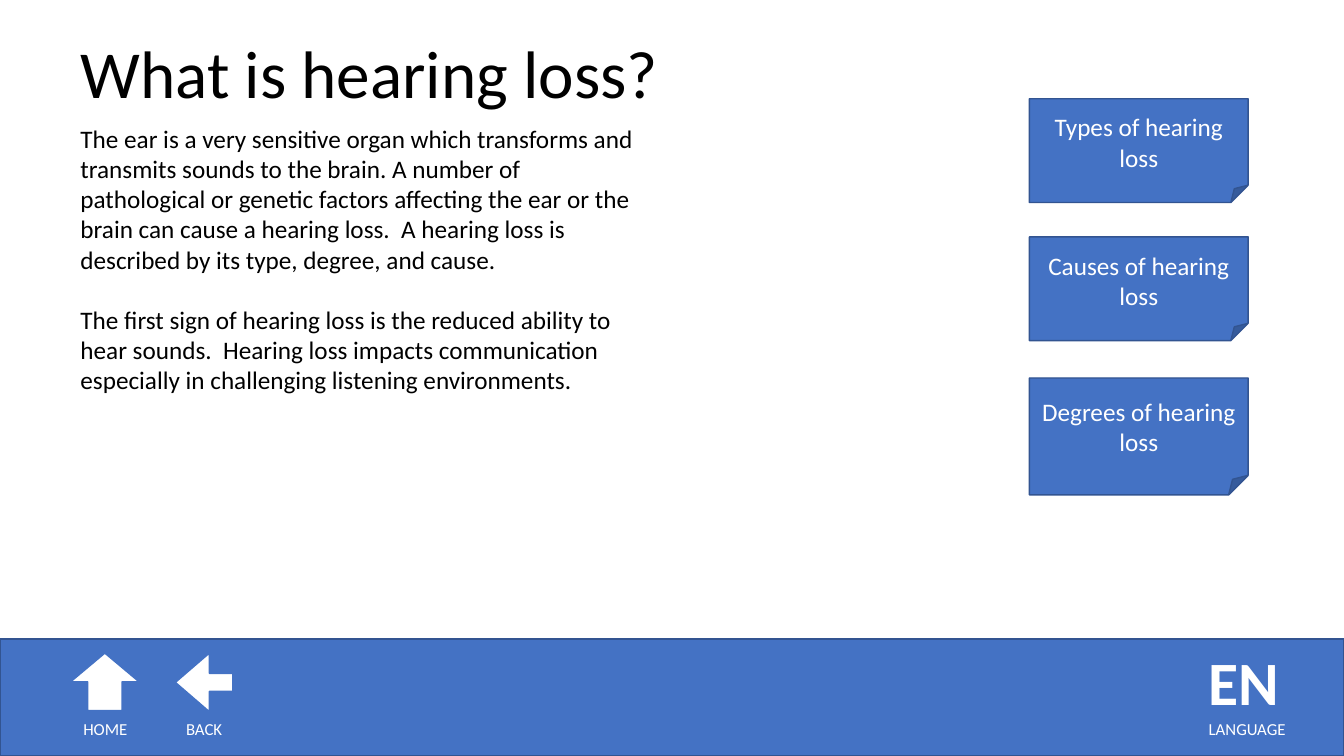
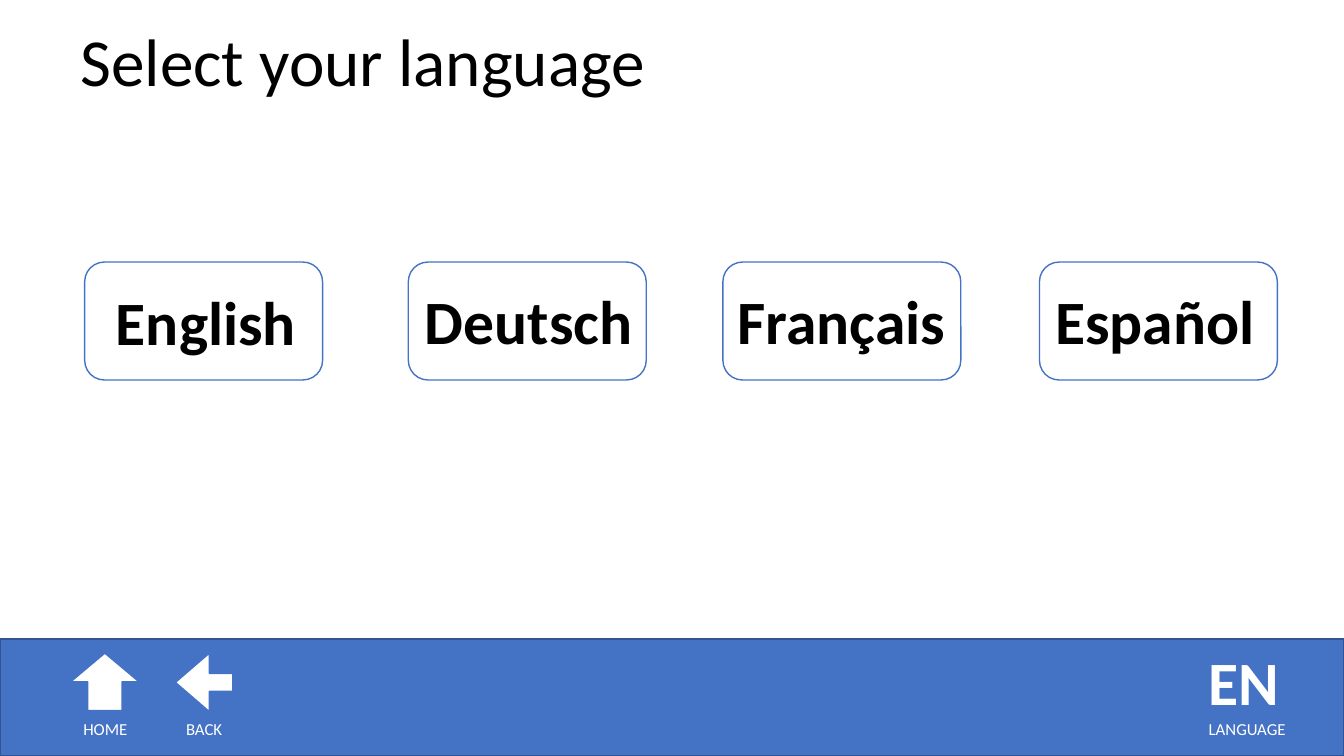
from dataclasses import dataclass
from typing import NamedTuple, Optional

from pptx import Presentation
from pptx.dml.color import RGBColor
from pptx.enum.shapes import MSO_SHAPE as Preset
from pptx.enum.text import MSO_ANCHOR as Anchor
from pptx.enum.text import MSO_AUTO_SIZE as AutoSize
from pptx.enum.text import PP_ALIGN as Align
from pptx.shapes.autoshape import Shape
from pptx.shapes.shapetree import GroupShapes
from pptx.slide import Slide
from pptx.text.text import TextFrame
from pptx.util import Inches, Pt


@dataclass(frozen=True)
class Theme:
    font: str = "Calibri"
    blue: RGBColor = RGBColor(0x44, 0x72, 0xC4)
    dark_blue: RGBColor = RGBColor(0x32, 0x54, 0x91)
    white: RGBColor = RGBColor(0xFF, 0xFF, 0xFF)
    black: RGBColor = RGBColor(0x00, 0x00, 0x00)
    title_size: int = 48
    label_size: int = 44
    body_size: int = 18
    caption_size: int = 12
    paragraph_gap: float = 21.6


THEME = Theme()


class Area(NamedTuple):
    left: float
    top: float
    width: float
    height: float


@dataclass(frozen=True)
class TextStyle:
    size: int
    color: RGBColor
    bold: bool = False
    align: Align = Align.LEFT
    wrap: bool = True


TITLE = TextStyle(THEME.title_size, THEME.black, wrap=False)
BODY = TextStyle(THEME.body_size, THEME.black)
CARD = TextStyle(THEME.body_size, THEME.white, align=Align.CENTER)
LANGUAGE = TextStyle(THEME.label_size, THEME.black, bold=True, align=Align.CENTER)
CODE = TextStyle(THEME.label_size, THEME.white, bold=True)
CAPTION = TextStyle(THEME.caption_size, THEME.white, align=Align.CENTER, wrap=False)


class TopicCard(NamedTuple):
    text: str
    top: float
    height: float


class LanguageButton(NamedTuple):
    name: str
    left: float
    label_left: float
    label_top: float = 2.76


class Caption(NamedTuple):
    text: str
    left: float
    width: float


INTRO = (
    "The ear is a very sensitive organ which transforms and transmits sounds "
    "to the brain. A number of pathological or genetic factors affecting the "
    "ear or the brain can cause a hearing loss.  A hearing loss is described "
    "by its type, degree, and cause.",
    "The first sign of hearing loss is the reduced ability to hear sounds. "
    " Hearing loss impacts communication especially in challenging listening "
    "environments.",
)
TOPICS = (
    TopicCard("Types of hearing loss", 0.98, 1.03),
    TopicCard("Causes of hearing loss", 2.35, 1.03),
    TopicCard("Degrees of hearing loss", 3.75, 1.16),
)
LANGUAGES = (
    LanguageButton("English", 0.84, 0.72, 2.77),
    LanguageButton("Deutsch", 4.05, 3.92),
    LanguageButton("Français", 7.17, 7.02),
    LanguageButton("Español", 10.31, 10.13),
)
CAPTIONS = (
    Caption("HOME", 0.72, 0.65),
    Caption("BACK", 1.74, 0.57),
    Caption("LANGUAGE", 11.88, 0.98),
)


# Drawing helpers
def write(frame: TextFrame, text: str, style: TextStyle) -> None:
    frame.text = text
    frame.word_wrap = style.wrap
    for index, para in enumerate(frame.paragraphs):
        para.alignment = style.align
        if index:
            para.space_before = Pt(THEME.paragraph_gap)
        for span in para.runs:
            span.font.name = THEME.font
            span.font.size = Pt(style.size)
            span.font.bold = style.bold
            span.font.color.rgb = style.color


def add_text(shapes: GroupShapes, area: Area, text: str, style: TextStyle) -> None:
    box = shapes.add_textbox(*map(Inches, area))
    write(box.text_frame, text, style)
    box.text_frame.auto_size = AutoSize.SHAPE_TO_FIT_TEXT


def add_panel(shapes: GroupShapes, preset: Preset, area: Area, fill: RGBColor,
              line: RGBColor, adjustments: Optional[tuple] = None) -> Shape:
    panel = shapes.add_shape(preset, *map(Inches, area))
    panel.shadow.inherit = False
    panel.fill.solid()
    panel.fill.fore_color.rgb = fill
    panel.line.color.rgb = line
    panel.line.width = Pt(1)
    for index, value in enumerate(adjustments or ()):
        panel.adjustments[index] = value
    return panel


def add_footer(page: Slide) -> None:
    shapes = page.shapes.add_group_shape().shapes
    add_panel(shapes, Preset.RECTANGLE, Area(0, 6.34, 13.33, 1.16),
              THEME.blue, THEME.dark_blue)
    add_panel(shapes, Preset.UP_ARROW, Area(0.7, 6.48, 0.68, 0.57),
              THEME.white, THEME.blue)
    add_panel(shapes, Preset.LEFT_ARROW, Area(1.74, 6.48, 0.57, 0.58),
              THEME.white, THEME.blue, (0.31, 0.59))
    for caption in CAPTIONS:
        add_text(shapes, Area(caption.left, 7.08, caption.width, 0.3),
                 caption.text, CAPTION)
    add_text(shapes, Area(11.89, 6.34, 0.98, 0.84), "EN", CODE)


def add_page(deck: Presentation, title: str, area: Area) -> Slide:
    page = deck.slides.add_slide(deck.slide_layouts[6])
    add_text(page.shapes, area, title, TITLE)
    add_footer(page)
    return page


# Slides
def build_hearing_loss(deck: Presentation) -> None:
    page = add_page(deck, "What is hearing loss?", Area(0.7, 0.26, 5.99, 0.91))
    add_text(page.shapes, Area(0.7, 1.17, 5.83, 2.83), "\n".join(INTRO), BODY)
    for topic in TOPICS:
        card = add_panel(page.shapes, Preset.FOLDED_CORNER,
                         Area(10.21, topic.top, 2.17, topic.height),
                         THEME.blue, THEME.dark_blue)
        write(card.text_frame, topic.text, CARD)
        card.text_frame.vertical_anchor = Anchor.MIDDLE


def build_language_choice(deck: Presentation) -> None:
    page = add_page(deck, "Select your language", Area(0.7, 0.14, 5.86, 0.91))
    for button in LANGUAGES:
        add_panel(page.shapes, Preset.ROUNDED_RECTANGLE,
                  Area(button.left, 2.6, 2.36, 1.17), THEME.white, THEME.blue)
        add_text(page.shapes, Area(button.label_left, button.label_top, 2.65, 0.84),
                 button.name, LANGUAGE)


def main() -> None:
    deck = Presentation()
    deck.slide_width = Inches(13.33)
    deck.slide_height = Inches(7.5)
    build_hearing_loss(deck)
    build_language_choice(deck)
    deck.save("out.pptx")


if __name__ == "__main__":
    main()
